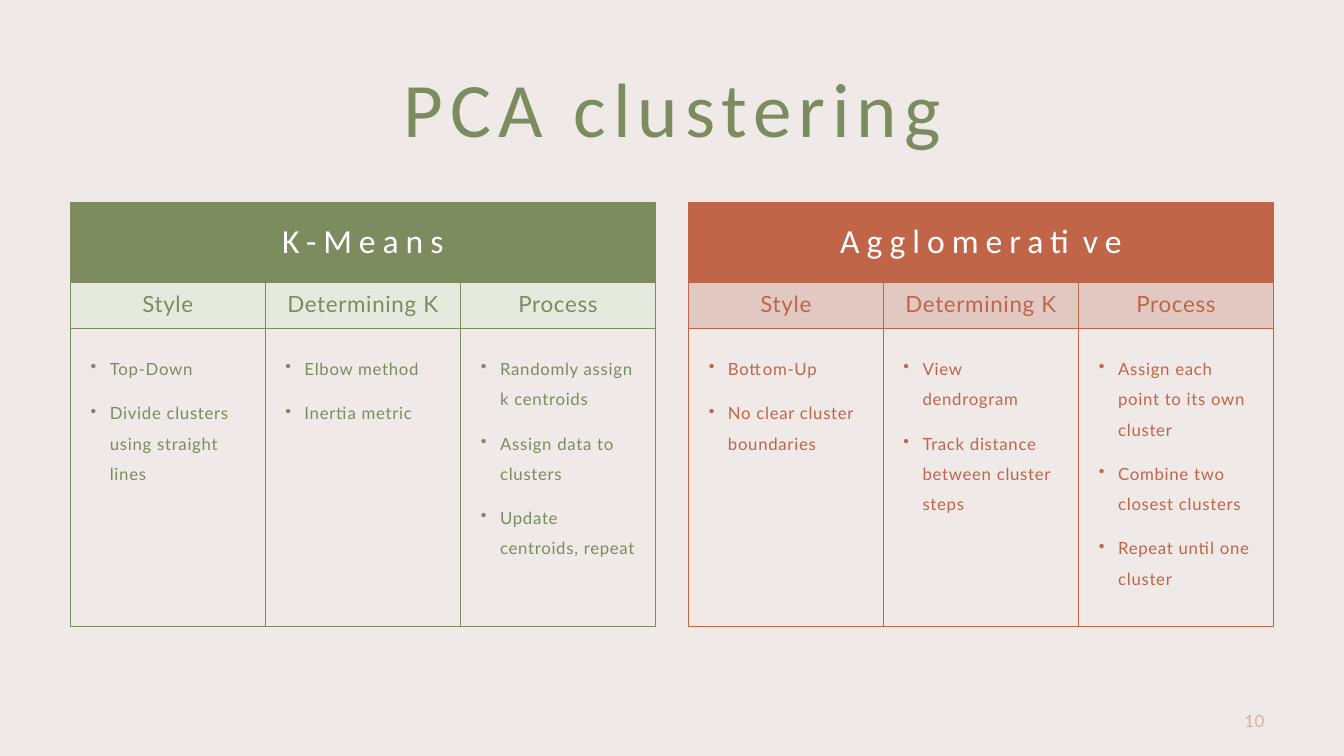
from lxml.etree import SubElement
from pptx import Presentation
from pptx.dml.color import RGBColor
from pptx.enum.shapes import MSO_SHAPE
from pptx.enum.text import MSO_ANCHOR, PP_ALIGN
from pptx.oxml.ns import qn
from pptx.util import Pt

TITLE = "PCA clustering"
PAGE_NUMBER = "10"
PANELS = [
    {"name": "K-Means", "color": "green", "tint": "pale green", "left": 70, "columns": [
        ("Style", ["Top-Down", "Divide clusters using straight lines"]),
        ("Determining K", ["Elbow method", "Inertia metric"]),
        ("Process", ["Randomly assign k centroids", "Assign data to clusters",
                     "Update centroids, repeat"]),
    ]},
    {"name": "Agglomerative", "color": "rust", "tint": "pale rust", "left": 683, "columns": [
        ("Style", ["Bottom-Up", "No clear cluster boundaries"]),
        ("Determining K", ["View dendrogram", "Track distance between cluster steps"]),
        ("Process", ["Assign each point to its own cluster", "Combine two closest clusters",
                     "Repeat until one cluster"]),
    ]},
]
COLORS = {
    "background": "EFE9E7",
    "green": "7C8C5F",
    "pale green": "E5E9DE",
    "rust": "C16548",
    "pale rust": "E1C9C1",
    "white": "FFFFFF",
    "page number": "D3B0A5",
}

PX = 9144
PAGE_WIDTH, PAGE_HEIGHT = 1333, 750
PANEL_WIDTH = 580
NAME_TOP, HEADING_TOP, LIST_TOP, LIST_BOTTOM = 201, 280, 326, 622
BULLET_INDENT = 19


def rgb(name):
    return RGBColor.from_string(COLORS[name])


def add_text(box, lines, *, size, color, font="Lato", spacing=0.5, align=PP_ALIGN.CENTER,
             anchor=MSO_ANCHOR.MIDDLE, line_spacing=0.9, insets=(0, 0), bullets=False):
    frame = box.text_frame
    frame.word_wrap = True
    frame.vertical_anchor = anchor
    frame.margin_left = frame.margin_right = insets[0] * PX
    frame.margin_top = frame.margin_bottom = insets[1] * PX
    for index, line in enumerate(lines):
        para = frame.add_paragraph() if index else frame.paragraphs[0]
        if bullets:
            properties = para._p.get_or_add_pPr()
            properties.set("marL", str(BULLET_INDENT * PX))
            properties.set("indent", str(-BULLET_INDENT * PX))
            SubElement(properties, qn("a:buChar"), char="•")
        para.alignment = align
        para.line_spacing = line_spacing
        if index:
            para.space_before = Pt(10)
        span = para.add_run()
        span.text = line
        span.font.name = font
        span.font.size = Pt(size)
        span.font.color.rgb = rgb(color)
        span.font._element.set("spc", str(int(spacing * 100)))


def add_box(page, left, top, width, height):
    return page.shapes.add_textbox(left * PX, top * PX, width * PX, height * PX)


def add_cell(page, left, top, right, bottom, line, fill=None):
    cell = page.shapes.add_shape(MSO_SHAPE.RECTANGLE, left * PX, top * PX,
                                 (right - left) * PX, (bottom - top) * PX)
    cell.shadow.inherit = False
    if fill:
        cell.fill.solid()
        cell.fill.fore_color.rgb = rgb(fill)
    else:
        cell.fill.background()
    cell.line.color.rgb = rgb(line)
    cell.line.width = Pt(0.75)
    return cell


def add_panel(page, panel):
    left, color = panel["left"], panel["color"]
    columns = panel["columns"]
    name = add_cell(page, left, NAME_TOP, left + PANEL_WIDTH, HEADING_TOP, color, color)
    add_text(name, [panel["name"]], size=24, color="white", font="Calibri", spacing=5)
    edges = [left + round(PANEL_WIDTH * i / len(columns)) for i in range(len(columns) + 1)]
    for start, end, (heading, points) in zip(edges, edges[1:], columns):
        head = add_cell(page, start, HEADING_TOP, end, LIST_TOP, color, panel["tint"])
        add_text(head, [heading], size=16, color=color, insets=(10, 10))
        body = add_cell(page, start, LIST_TOP, end, LIST_BOTTOM, color)
        add_text(body, points, size=12, color=color, align=PP_ALIGN.LEFT,
                 anchor=MSO_ANCHOR.TOP, line_spacing=1.5, insets=(20, 20), bullets=True)


def main():
    deck = Presentation()
    deck.slide_width, deck.slide_height = PAGE_WIDTH * PX, PAGE_HEIGHT * PX
    page = deck.slides.add_slide(deck.slide_layouts[6])
    page.background.fill.solid()
    page.background.fill.fore_color.rgb = rgb("background")
    add_text(add_box(page, 70, 70, 1194, 130), [TITLE], size=55, color="green",
             font="Calibri", spacing=5, anchor=MSO_ANCHOR.TOP)
    for panel in PANELS:
        add_panel(page, panel)
    add_text(add_box(page, 964, 695, 300, 40), [PAGE_NUMBER], size=12, color="page number",
             align=PP_ALIGN.RIGHT, line_spacing=1.0, insets=(10, 5))
    deck.save("out.pptx")


if __name__ == "__main__":
    main()
